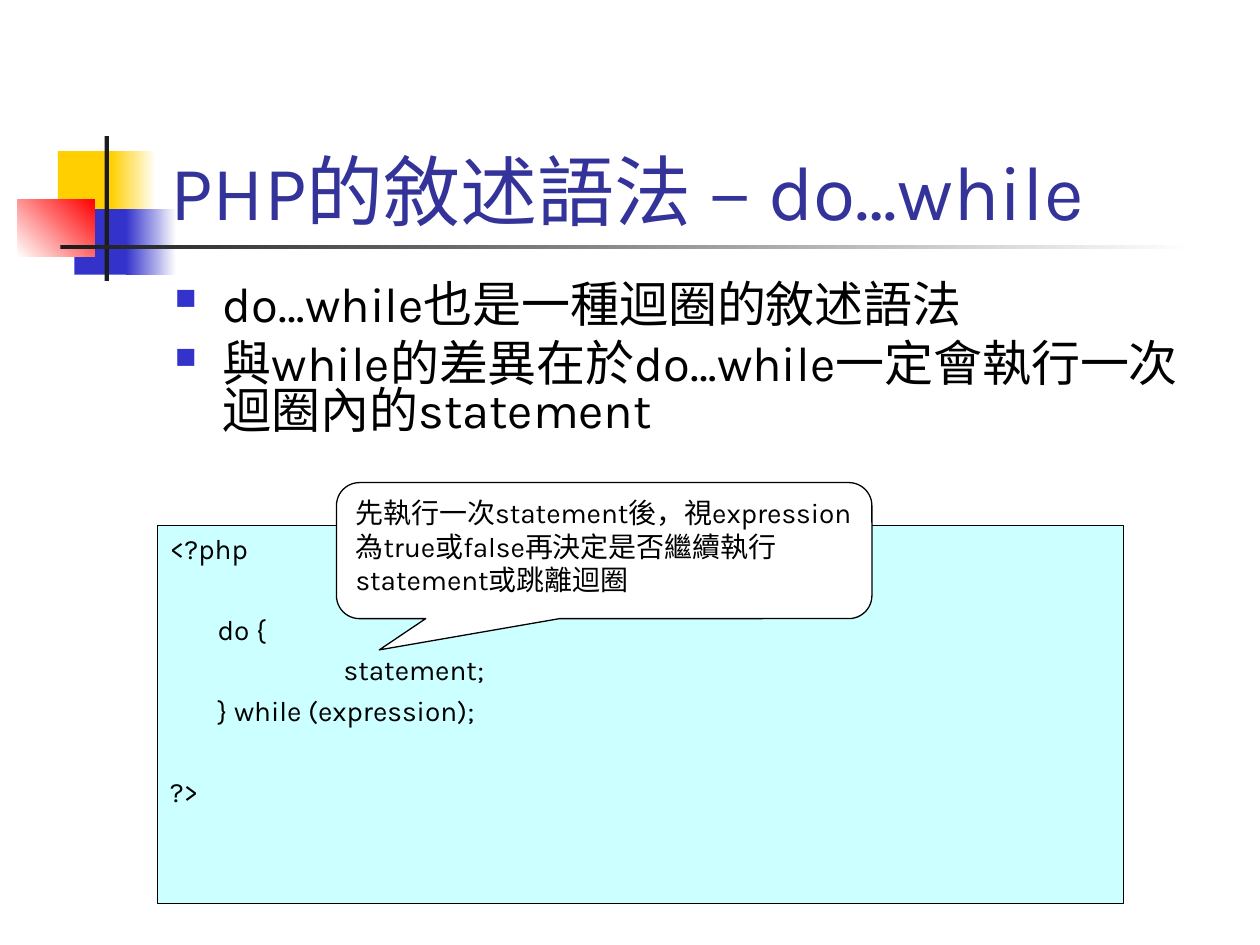
from lxml.etree import SubElement
from pptx import Presentation
from pptx.dml.color import RGBColor
from pptx.enum.shapes import MSO_SHAPE
from pptx.enum.text import MSO_ANCHOR, MSO_AUTO_SIZE, PP_ALIGN
from pptx.oxml.ns import qn
from pptx.util import Inches, Pt

COLUMNS, ROWS = 100, 75


def color(value):
    return RGBColor.from_string(value)


def add_bullet(properties, bullet_color, percent, character):
    bullet = SubElement(properties, qn("a:buClr"))
    SubElement(bullet, qn("a:srgbClr"), val=bullet_color)
    SubElement(properties, qn("a:buSzPct"), val=str(percent * 1000))
    SubElement(properties, qn("a:buChar"), char=character)


def write(paragraph, text, size=16, ink="000000", font="Karla", before=0,
          spacing=None, margin=0, hanging=0, bullet=None):
    """Put one run of text in a paragraph and format both."""
    properties = paragraph._p.get_or_add_pPr()
    properties.set("marL", str(Inches(margin)))
    properties.set("indent", str(-Inches(hanging)))
    if bullet:
        add_bullet(properties, *bullet)
    paragraph.alignment = PP_ALIGN.LEFT
    paragraph.space_before = Pt(before)
    if spacing:
        paragraph.line_spacing = spacing
    run = paragraph.add_run()
    run.text = text
    run.font.size = Pt(size)
    run.font.name = font
    run.font.color.rgb = color(ink)


class SlideBuilder:
    """Holds the slide and its grid of 100 columns by 75 rows."""

    def __init__(self, presentation):
        self.slide = presentation.slides.add_slide(presentation.slide_layouts[5])
        self.column = presentation.slide_width / COLUMNS
        self.row = presentation.slide_height / ROWS

    def place(self, left, top, width, height):
        return (int(left * self.column), int(top * self.row),
                int(width * self.column), int(height * self.row))

    def frame(self, shape, anchor=MSO_ANCHOR.TOP):
        frame = shape.text_frame
        frame.word_wrap = True
        frame.auto_size = MSO_AUTO_SIZE.NONE
        frame.vertical_anchor = anchor
        return frame

    def title(self, text, area, **style):
        shape = self.slide.shapes.title
        shape.left, shape.top, shape.width, shape.height = self.place(*area)
        frame = self.frame(shape, MSO_ANCHOR.BOTTOM)
        write(frame.paragraphs[0], text, **style)

    def lines(self, frame, items, before=0, **style):
        """Write (text, own format) pairs as paragraphs."""
        for index, (text, own) in enumerate(items):
            paragraph = frame.add_paragraph() if index else frame.paragraphs[0]
            gap = before if index else 0
            write(paragraph, text, **{"before": gap, **style, **own})

    def text_box(self, items, area, **style):
        shape = self.slide.shapes.add_textbox(*self.place(*area))
        self.lines(self.frame(shape), items, **style)

    def shape(self, area, fill, fade_to=None, angle=0, line=None,
              kind=MSO_SHAPE.RECTANGLE):
        shape = self.slide.shapes.add_shape(kind, *self.place(*area))
        shape.shadow.inherit = False
        if fade_to:
            shape.fill.gradient()
            shape.fill.gradient_angle = angle
            for stop, value in zip(shape.fill.gradient_stops, (fill, fade_to)):
                stop.color.rgb = color(value)
        else:
            shape.fill.solid()
            shape.fill.fore_color.rgb = color(fill)
        if line:
            shape.line.color.rgb = color(line)
            shape.line.width = Pt(0.75)
        else:
            shape.line.fill.background()
        return shape

    def panel(self, items, area, fill, adjustments=(), before=0,
              kind=MSO_SHAPE.RECTANGLE):
        shape = self.shape(area, fill, line="000000", kind=kind)
        for index, value in enumerate(adjustments):
            shape.adjustments[index] = value
        self.lines(self.frame(shape), items, before=before)


def main():
    presentation = Presentation()
    presentation.slide_width, presentation.slide_height = Inches(10), Inches(7.5)
    builder = SlideBuilder(presentation)

    # Corner ornament and title rule
    white, yellow, blue, dark = "FFFFFF", "FFCF01", "3333CC", "1C1C1C"
    builder.shape((4.6, 12, 4.8, 5.2), yellow)
    builder.shape((8.8, 12, 3.6, 5.2), yellow, fade_to=white)
    builder.shape((5.9, 16.6, 4.6, 5.2), blue)
    builder.shape((10, 16.6, 4, 5.2), blue, fade_to=white)
    builder.shape((1.4, 15.8, 6.1, 4.6), white, fade_to="FF0000", angle=45)
    builder.shape((8.3, 10.8, 0.35, 11.5), dark)
    builder.shape((4.8, 19.45, 90, 0.35), dark, fade_to=white)

    # Title and bullets
    builder.title("PHP的敘述語法 – do…while", (12.5, 6.7, 85.2, 12.5),
                  size=44, ink="333399")
    builder.text_box(
        [("do…while也是一種迴圈的敘述語法", {}),
         ("與while的差異在於do…while一定會執行一次迴圈內的statement", {})],
        (12.9, 22.1, 85, 13.8), size=28, before=7, spacing=0.8,
        margin=0.38, hanging=0.38, bullet=(blue, 60, "■"))

    # Code panel: a wide gap stands for an empty line
    wide_gap = 27
    builder.panel(
        [("<?php", {}),
         ("do {", {"margin": 0.38, "before": wide_gap}),
         ("statement;", {"margin": 1.38}),
         ("} while (expression);", {"margin": 0.38}),
         ("?>", {"before": wide_gap})],
        (12.5, 41.7, 76.7, 30), "CCFFFF", before=4)

    # Callout pointing at the statement
    builder.panel(
        [("先執行一次statement後，視expression為true或false"
          "再決定是否繼續執行statement或跳離迴圈", {})],
        (26.7, 38.3, 42.5, 10.8), white, adjustments=(-0.42, 0.73, 0.17),
        kind=MSO_SHAPE.ROUNDED_RECTANGULAR_CALLOUT)

    presentation.save("out.pptx")


if __name__ == "__main__":
    main()
